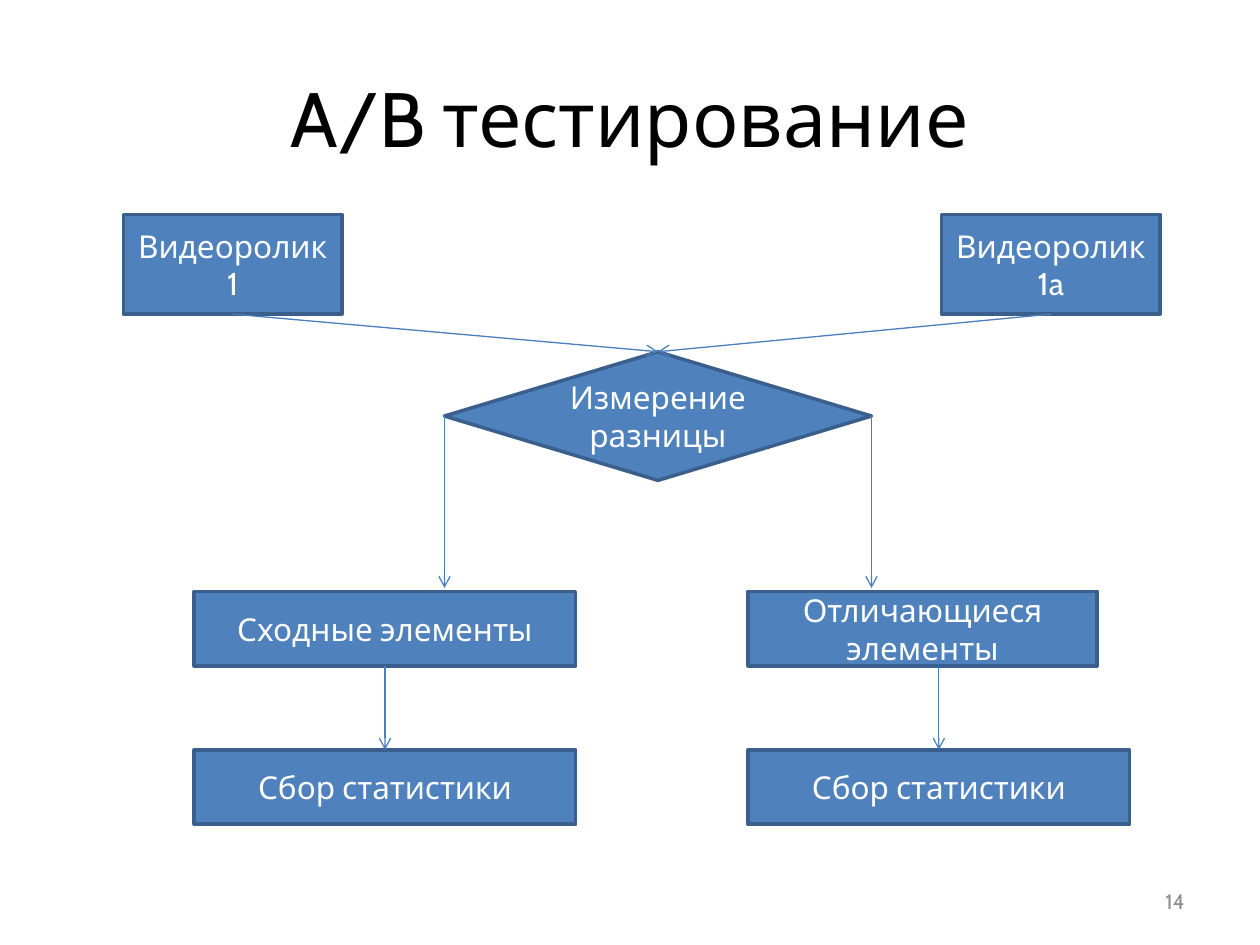
from dataclasses import dataclass
from typing import Optional

from lxml.etree import SubElement
from pptx import Presentation
from pptx.dml.color import RGBColor
from pptx.enum.shapes import MSO_CONNECTOR, MSO_SHAPE
from pptx.enum.text import MSO_ANCHOR, PP_ALIGN
from pptx.oxml.ns import qn
from pptx.util import Pt


@dataclass(frozen=True)
class Theme:
    font: str = "Cabin"
    title_size: float = 44
    node_size: float = 18
    number_size: float = 12
    outline_width: float = 2
    arrow_width: float = 0.75
    title_color: RGBColor = RGBColor(0x00, 0x00, 0x00)
    number_color: RGBColor = RGBColor(0x8C, 0x8C, 0x8C)
    node_text: RGBColor = RGBColor(0xFF, 0xFF, 0xFF)
    node_fill: RGBColor = RGBColor(0x4F, 0x81, 0xBD)
    node_line: RGBColor = RGBColor(0x3A, 0x5F, 0x8C)
    arrow: RGBColor = RGBColor(0x4B, 0x7E, 0xBC)


@dataclass(frozen=True)
class Node:
    text: str
    left: float
    top: float
    width: float
    height: float
    kind: MSO_SHAPE = MSO_SHAPE.RECTANGLE

    def site(self, index: int) -> tuple[float, float]:
        """Connection point: 0 top, 1 left, 2 bottom, 3 right."""
        across, down = ((0.5, 0), (0, 0.5), (0.5, 1), (1, 0.5))[index]
        return self.left + across * self.width, self.top + down * self.height


@dataclass(frozen=True)
class Arrow:
    """An end without a site is placed straight above or below the other."""
    source: str
    source_site: Optional[int]
    target: str
    target_site: Optional[int]


THEME = Theme()
TOP, LEFT, BOTTOM, RIGHT = range(4)
ARROW_GAP = 2

# Rows and columns of the flowchart
VIDEO_TOP, RESULT_TOP, STATISTICS_TOP = 122.5, 338, 428.5
LEFT_COLUMN, RIGHT_COLUMN = 111, 427.5
VIDEO_SIZE = (125, 57)
STEP_SIZE = (218, 42.5)

NODES = {
    "video": Node("Видеоролик 1", 70.5, VIDEO_TOP, *VIDEO_SIZE),
    "variant": Node("Видеоролик 1a", 538, VIDEO_TOP, *VIDEO_SIZE),
    "decision": Node("Измерение разницы", 254, 201, 244, 73.5, MSO_SHAPE.DIAMOND),
    "similar": Node("Сходные элементы", LEFT_COLUMN, RESULT_TOP, *STEP_SIZE),
    "different": Node("Отличающиеся элементы", RIGHT_COLUMN, RESULT_TOP, 199.5, 42.5),
    "similar_statistics": Node("Сбор статистики", LEFT_COLUMN, STATISTICS_TOP, *STEP_SIZE),
    "different_statistics": Node("Сбор статистики", RIGHT_COLUMN, STATISTICS_TOP, *STEP_SIZE),
}

ARROWS = (
    Arrow("video", BOTTOM, "decision", TOP),
    Arrow("variant", BOTTOM, "decision", TOP),
    Arrow("decision", LEFT, "similar", None),
    Arrow("decision", RIGHT, "different", None),
    Arrow("similar", BOTTOM, "similar_statistics", TOP),
    Arrow("different", None, "different_statistics", TOP),
)


def write_text(shape, text: str, size: float, color: RGBColor, alignment: PP_ALIGN) -> None:
    text_frame = shape.text_frame
    text_frame.text = text
    text_frame.word_wrap = True
    text_frame.vertical_anchor = MSO_ANCHOR.MIDDLE
    paragraph = text_frame.paragraphs[0]
    paragraph.alignment = alignment
    font = paragraph.runs[0].font
    font.name, font.size = THEME.font, Pt(size)
    font.color.rgb = color


def draw_node(slide, node: Node):
    shape = slide.shapes.add_shape(
        node.kind, Pt(node.left), Pt(node.top), Pt(node.width), Pt(node.height))
    shape.shadow.inherit = False
    shape.fill.solid()
    shape.fill.fore_color.rgb = THEME.node_fill
    shape.line.color.rgb = THEME.node_line
    shape.line.width = Pt(THEME.outline_width)
    write_text(shape, node.text, THEME.node_size, THEME.node_text, PP_ALIGN.CENTER)
    return shape


def draw_arrow(slide, arrow: Arrow, shapes: dict) -> None:
    source, target = NODES[arrow.source], NODES[arrow.target]
    if arrow.target_site is None:
        start = source.site(arrow.source_site)
        end = (start[0], target.top - ARROW_GAP)
    else:
        end = target.site(arrow.target_site)
        start = ((end[0], source.top + source.height) if arrow.source_site is None
                 else source.site(arrow.source_site))
    connector = slide.shapes.add_connector(
        MSO_CONNECTOR.STRAIGHT, *(Pt(value) for value in start + end))
    if arrow.source_site is not None:
        connector.begin_connect(shapes[arrow.source], arrow.source_site)
    if arrow.target_site is not None:
        connector.end_connect(shapes[arrow.target], arrow.target_site)
    connector.line.color.rgb = THEME.arrow
    connector.line.width = Pt(THEME.arrow_width)
    # Arrowhead at the target, and no shadow
    SubElement(connector.line._get_or_add_ln(), qn("a:tailEnd"), type="arrow")
    SubElement(connector._element.spPr, qn("a:effectLst"))


def main() -> None:
    presentation = Presentation()
    presentation.slide_width, presentation.slide_height = Pt(720), Pt(540)
    slide = presentation.slides.add_slide(presentation.slide_layouts[6])

    # Title and slide number
    title = slide.shapes.add_textbox(Pt(36), Pt(21.6), Pt(648), Pt(90))
    write_text(title, "A/B тестирование", THEME.title_size, THEME.title_color, PP_ALIGN.CENTER)
    number = slide.shapes.add_textbox(Pt(516), Pt(500.5), Pt(168), Pt(28.8))
    write_text(number, "14", THEME.number_size, THEME.number_color, PP_ALIGN.RIGHT)

    # Flowchart
    shapes = {name: draw_node(slide, node) for name, node in NODES.items()}
    for arrow in ARROWS:
        draw_arrow(slide, arrow, shapes)

    presentation.save("out.pptx")


if __name__ == "__main__":
    main()
